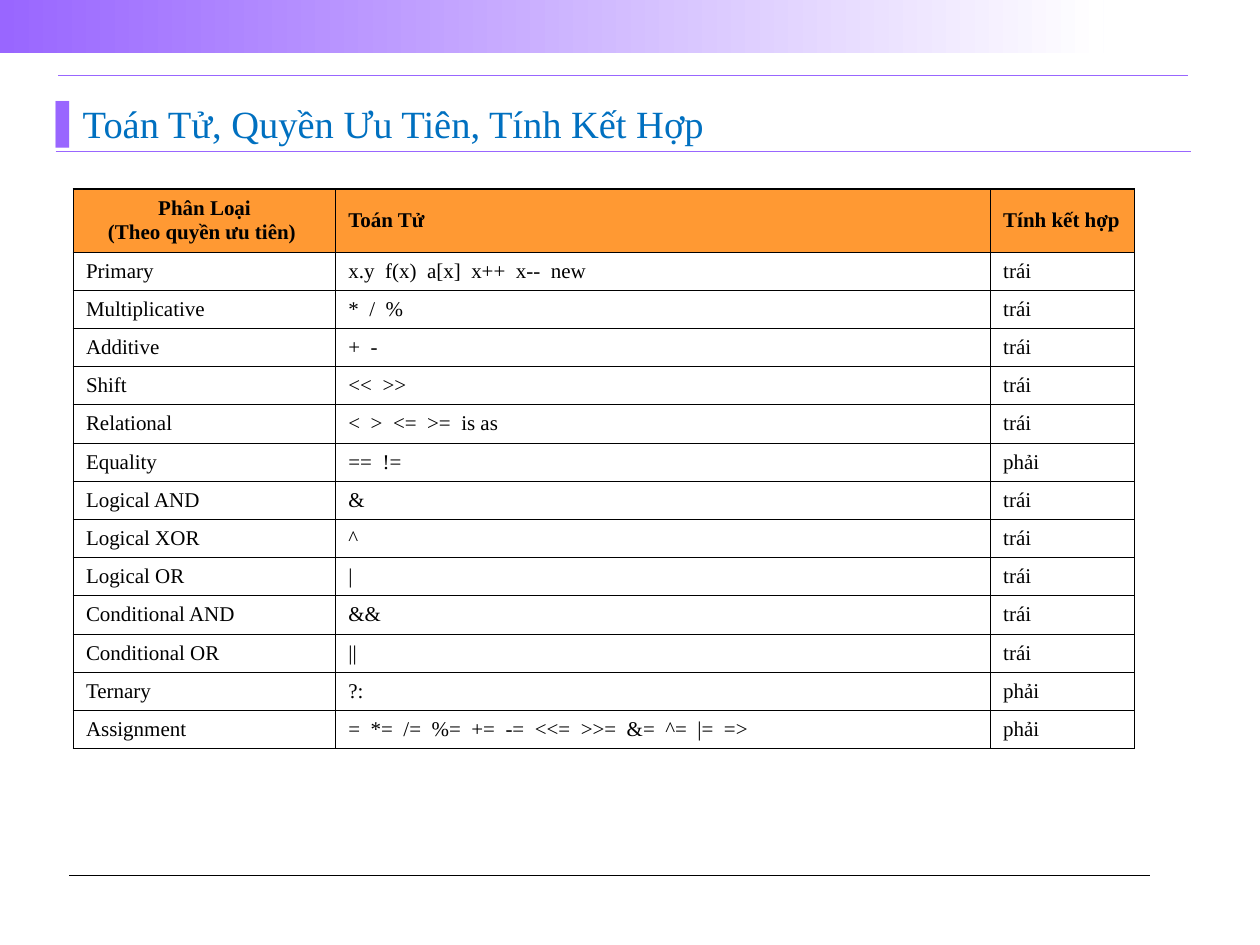
from dataclasses import dataclass
from typing import NamedTuple

from lxml.etree import SubElement
from pptx import Presentation
from pptx.dml.color import RGBColor
from pptx.enum.shapes import MSO_CONNECTOR, MSO_SHAPE
from pptx.enum.text import MSO_ANCHOR, MSO_AUTO_SIZE, PP_ALIGN
from pptx.oxml.ns import qn
from pptx.slide import Slide
from pptx.table import _Cell
from pptx.text.text import TextFrame
from pptx.util import Cm, Pt


@dataclass(frozen=True)
class Theme:
    font: str = "Times New Roman"
    accent: str = "9966FF"
    title: str = "0070C0"
    header: str = "FF9933"
    ink: str = "000000"
    paper: str = "FFFFFF"
    title_size: float = 22
    table_size: float = 12
    outer_border: float = 1.08
    inner_border: float = 0.45


class Rule(NamedTuple):
    left: float
    right: float
    y: float
    color: str
    weight: float


class Operators(NamedTuple):
    category: str
    symbols: tuple[str, ...]
    associativity: str


THEME = Theme()
LEFT, RIGHT = "trái", "phải"
SYMBOL_GAP = chr(160) + " "  # no-break space, then a space

RULES = [
    Rule(1.12, 24.0, 3.05, THEME.accent, 0.5),
    Rule(1.17, 23.95, 1.52, THEME.accent, 0.75),
    Rule(1.4, 23.19, 17.65, THEME.ink, 0.75),
]

HEADINGS = ("Phân Loại\n(Theo quyền ưu tiên) ", "Toán Tử", "Tính kết hợp")
PRECEDENCE = [
    Operators("Primary", ("x.y", "f(x)", "a[x]", "x++", "x--", "new"), LEFT),
    Operators("Multiplicative", ("*", "/", "%"), LEFT),
    Operators("Additive", ("+", "-"), LEFT),
    Operators("Shift", ("<<", ">>"), LEFT),
    Operators("Relational", ("<", ">", "<=", ">=", "is as"), LEFT),
    Operators("Equality", ("==", "!="), RIGHT),
    Operators("Logical AND", ("&",), LEFT),
    Operators("Logical XOR", ("^",), LEFT),
    Operators("Logical OR", ("|",), LEFT),
    Operators("Conditional AND", ("&&",), LEFT),
    Operators("Conditional OR", ("||",), LEFT),
    Operators("Ternary", ("?:",), RIGHT),
    Operators("Assignment", ("=", "*=", "/=", "%=", "+=", "-=", "<<=", ">>=",
                             "&=", "^=", "|=", "=>"), RIGHT),
]
COLUMN_WIDTHS = (5.29, 13.2, 2.9)
HEADER_HEIGHT, ROW_HEIGHT = 1.27, 0.77


def rgb(color: str) -> RGBColor:
    return RGBColor.from_string(color)


def write(frame: TextFrame, text: str, *, size: float, color: str,
          bold: bool = False, align: PP_ALIGN = PP_ALIGN.LEFT,
          hanging: float = 0) -> None:
    frame.text = text
    for paragraph in frame.paragraphs:
        paragraph.alignment = align
        properties = paragraph._p.get_or_add_pPr()
        properties.set("marL", str(Cm(hanging)))
        properties.set("indent", str(-Cm(hanging)))
        for run in paragraph.runs:
            run.font.name = THEME.font
            run.font.size = Pt(size)
            run.font.bold = bold
            run.font.color.rgb = rgb(color)


def draw_rule(slide: Slide, rule: Rule) -> None:
    line = slide.shapes.add_connector(
        MSO_CONNECTOR.STRAIGHT,
        Cm(rule.left), Cm(rule.y), Cm(rule.right), Cm(rule.y))
    line.line.color.rgb = rgb(rule.color)
    line.line.width = Pt(rule.weight)
    SubElement(line._element.spPr, qn("a:effectLst"))


def draw_band(slide: Slide) -> None:
    band = slide.shapes.add_shape(MSO_SHAPE.RECTANGLE, 0, 0, Cm(22.25), Cm(1.08))
    band.shadow.inherit = False
    band.line.fill.background()
    band.fill.gradient()
    band.fill.gradient_angle = 0
    for stop, color in zip(band.fill.gradient_stops, (THEME.accent, THEME.paper)):
        stop.color.rgb = rgb(color)


def draw_title(slide: Slide, text: str) -> None:
    title = slide.shapes.title
    title.left, title.top, title.width, title.height = (
        Cm(1.12), Cm(2.01), Cm(21.87), Cm(0.94))
    frame = title.text_frame
    frame.margin_left = frame.margin_top = frame.margin_right = frame.margin_bottom = 0
    frame.vertical_anchor = MSO_ANCHOR.BOTTOM
    frame.auto_size = MSO_AUTO_SIZE.NONE
    frame.word_wrap = True
    write(frame, text, size=THEME.title_size, color=THEME.title, hanging=0.48)
    # Block bullet in the accent colour
    properties = frame.paragraphs[0]._p.get_or_add_pPr()
    bullet_color = SubElement(properties, qn("a:buClr"))
    SubElement(bullet_color, qn("a:srgbClr"), val=THEME.accent)
    SubElement(properties, qn("a:buFont"), typeface=THEME.font)
    SubElement(properties, qn("a:buChar"), char="▌")


def set_borders(cell: _Cell, outer_sides: dict[str, bool]) -> None:
    properties = cell._tc.get_or_add_tcPr()
    for side, is_outer in outer_sides.items():
        weight = THEME.outer_border if is_outer else THEME.inner_border
        border = SubElement(properties, qn(f"a:{side}"), w=str(Pt(weight)))
        fill = SubElement(border, qn("a:solidFill"))
        SubElement(fill, qn("a:srgbClr"), val=THEME.ink)


def draw_precedence_table(slide: Slide) -> None:
    rows = [HEADINGS] + [
        (entry.category, SYMBOL_GAP.join(entry.symbols), entry.associativity)
        for entry in PRECEDENCE]
    height = HEADER_HEIGHT + ROW_HEIGHT * len(PRECEDENCE)
    table = slide.shapes.add_table(
        len(rows), len(HEADINGS), Cm(1.48), Cm(3.81),
        Cm(sum(COLUMN_WIDTHS)), Cm(height)).table
    table.horz_banding = False
    for column, width in zip(table.columns, COLUMN_WIDTHS):
        column.width = Cm(width)

    for r, row in enumerate(rows):
        is_header = r == 0
        table.rows[r].height = Cm(HEADER_HEIGHT if is_header else ROW_HEIGHT)
        for c, text in enumerate(row):
            cell = table.cell(r, c)
            set_borders(cell, {"lnL": c == 0, "lnR": c == len(row) - 1,
                               "lnT": is_header, "lnB": r == len(rows) - 1})
            if is_header:
                cell.fill.solid()
                cell.fill.fore_color.rgb = rgb(THEME.header)
            else:
                cell.fill.background()
            cell.vertical_anchor = MSO_ANCHOR.MIDDLE
            centred = is_header and c == 0
            write(cell.text_frame, text, size=THEME.table_size, color=THEME.ink,
                  bold=is_header, hanging=0.95,
                  align=PP_ALIGN.CENTER if centred else PP_ALIGN.LEFT)


def main() -> None:
    deck = Presentation()
    deck.slide_width, deck.slide_height = Cm(25.4), Cm(19.05)
    slide = deck.slides.add_slide(deck.slide_layouts.get_by_name("Title Only"))

    # Page frame
    draw_band(slide)
    for rule in RULES:
        draw_rule(slide, rule)

    # Content
    draw_precedence_table(slide)
    draw_title(slide, "Toán Tử, Quyền Ưu Tiên, Tính Kết Hợp")
    deck.save("out.pptx")


if __name__ == "__main__":
    main()
